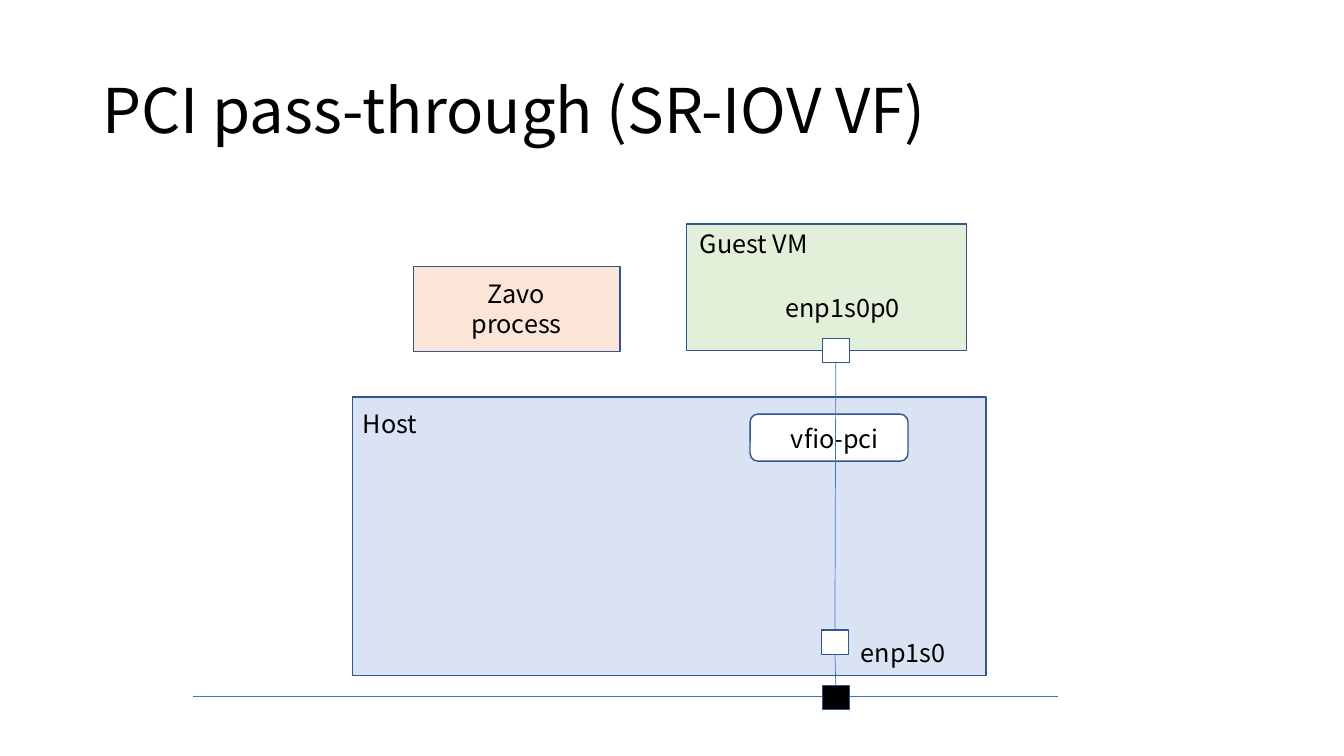
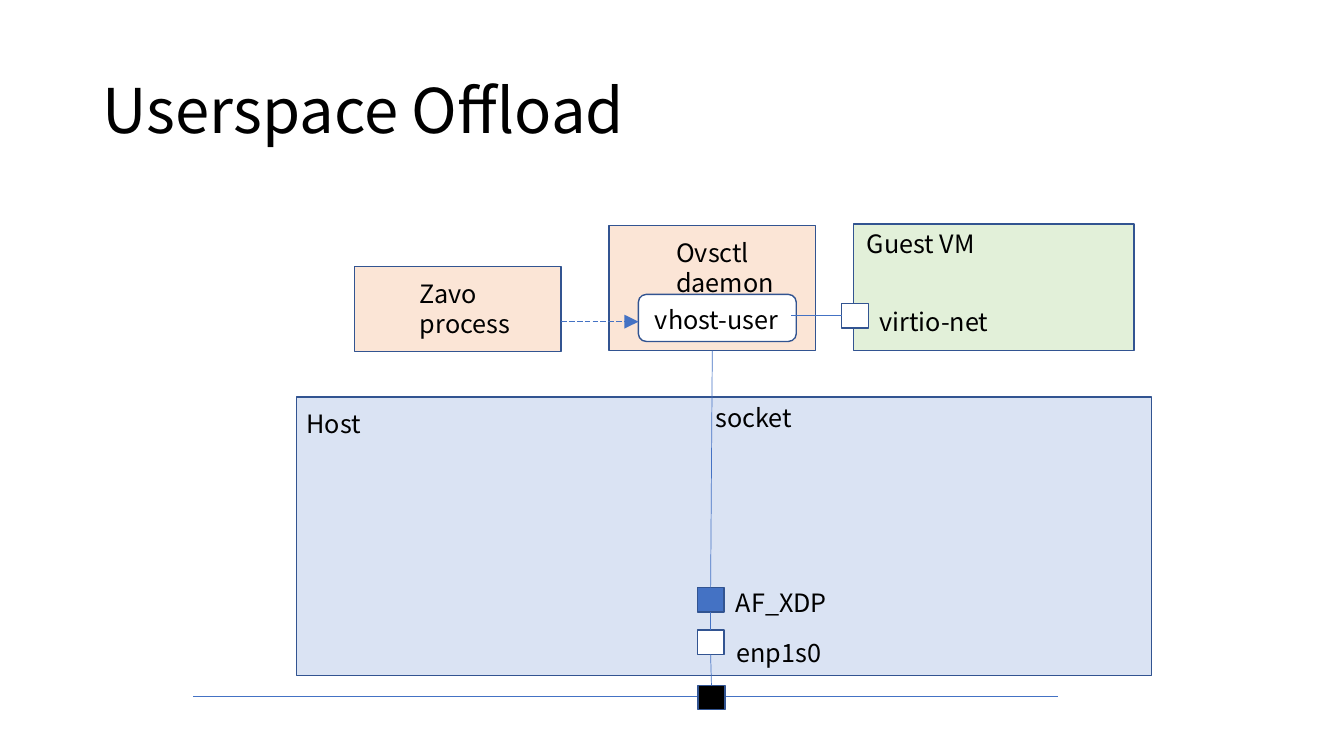
"""Build two slides on how a guest VM reaches the network card."""
import pptx
import pptx.util
import pptx.dml.color
import pptx.enum.dml
import pptx.enum.shapes
import pptx.enum.text
import pptx.oxml
import pptx.oxml.ns

COLORS = {"host": "DAE3F3", "guest": "E2F0D9", "process": "FBE5D6", "white": "FFFFFF",
          "black": "000000", "accent": "4472C4", "border": "325491"}
FONT = "Noto Sans CJK JP"
COLS, ROWS = 160, 90
PORT_W, PORT_H = 3.2, 2.9
SHAPE = pptx.enum.shapes.MSO_SHAPE
ALIGN = pptx.enum.text.PP_ALIGN
RGB = pptx.dml.color.RGBColor.from_string

prs = pptx.Presentation()
prs.slide_width = pptx.util.Inches(13.33)
prs.slide_height = pptx.util.Inches(7.5)
CELL_W, CELL_H = prs.slide_width / COLS, prs.slide_height / ROWS


def box(s, x, y, w, h, fill=None, text="", left=1.2, top=0.6, align=ALIGN.LEFT, kind=SHAPE.RECTANGLE):
    """Add a filled shape, or a plain label when there is no fill."""
    rect = [int(v) for v in (x * CELL_W, y * CELL_H, w * CELL_W, h * CELL_H)]
    if fill:
        sp = s.shapes.add_shape(kind, *rect)
        sp.shadow.inherit = False
        sp.fill.solid()
        sp.fill.fore_color.rgb = RGB(COLORS[fill])
        sp.line.color.rgb = RGB(COLORS["border"])
        sp.line.width = pptx.util.Pt(1)
    else:
        sp = s.shapes.add_textbox(*rect)
    tf = sp.text_frame
    tf.word_wrap = True
    tf.vertical_anchor = pptx.enum.text.MSO_ANCHOR.TOP
    tf.margin_left, tf.margin_top = int(left * CELL_W), int(top * CELL_H)
    tf.margin_right = tf.margin_bottom = 0
    for i, line in enumerate(text.splitlines()):
        p = tf.add_paragraph() if i else tf.paragraphs[0]
        p.alignment = align
        r = p.add_run()
        r.text = line
        r.font.name, r.font.size = FONT, pptx.util.Pt(18)
        r.font.color.rgb = RGB(COLORS["black"])
    return sp


def link(s, x1=0, y1=0, x2=0, y2=0, begin=None, end=None):
    """Draw a thin line between grid points or (shape, side) pairs."""
    cx = s.shapes.add_connector(pptx.enum.shapes.MSO_CONNECTOR.STRAIGHT, int(x1 * CELL_W),
                                int(y1 * CELL_H), int(x2 * CELL_W), int(y2 * CELL_H))
    if begin:
        cx.begin_connect(*begin)
    if end:
        cx.end_connect(*end)
    cx.line.color.rgb = RGB(COLORS["accent"])
    cx.line.width = pptx.util.Pt(0.5)
    cx._element.spPr.append(pptx.oxml.parse_xml("<a:effectLst %s/>" % pptx.oxml.ns.nsdecls("a")))
    return cx


slides = []
for title, host_x, host_w, guest_x, vm_x, vm_text, vm_left, vm_align, port_x in (
        ("PCI pass-through (SR-IOV VF)", 42, 75.4, 81.7, 49.2, "Zavo\nprocess", 0, ALIGN.CENTER, 97.9),
        ("Userspace Offload", 35.3, 101.8, 101.6, 42.2, "Zavo process", 7.8, ALIGN.LEFT, 83.1)):
    s = prs.slides.add_slide(prs.slide_layouts[5])
    sp = s.shapes.title
    sp.left, sp.top = int(11 * CELL_W), int(4.8 * CELL_H)
    sp.width, sp.height = int(138 * CELL_W), int(17.4 * CELL_H)
    tf = sp.text_frame
    tf.auto_size = pptx.enum.text.MSO_AUTO_SIZE.NONE
    tf.vertical_anchor = pptx.enum.text.MSO_ANCHOR.MIDDLE
    p = tf.paragraphs[0]
    p.alignment, p.line_spacing = ALIGN.LEFT, 0.9
    r = p.add_run()
    r.text = title
    r.font.name, r.font.size = FONT, pptx.util.Pt(44)
    r.font.color.rgb = RGB(COLORS["black"])

    link(s, 23, 82.9, 125.9, 82.9)
    box(s, host_x, 47.25, host_w, 33.2, "host", "Host", top=1.3)
    box(s, guest_x, 26.65, 33.4, 15.1, "guest", "Guest VM", left=1.6)
    box(s, vm_x, 31.75, 24.6, 10.1, "process", vm_text, vm_left, 1.35, vm_align)
    nic = box(s, port_x, 81.6, PORT_W, PORT_H, "black")
    port = box(s, port_x - 0.1, 75, PORT_W, PORT_H, "white")
    link(s, begin=(port, 2), end=(nic, 0))
    box(s, port_x + 3.4, 75.3, 13.8, 4.8, text="enp1s0")
    slides.append((s, port, port_x))

s, port, port_x = slides[0]
box(s, 89.3, 49.3, 18.8, 5.6, "white", "vfio-pci", 4.6, 0.8, kind=SHAPE.ROUNDED_RECTANGLE)
guest_port = box(s, port_x, 40.3, PORT_W, PORT_H, "white")
link(s, begin=(guest_port, 2), end=(port, 0))
box(s, 92.3, 34.2, 16.7, 4.8, text="enp1s0p0")

s, port, port_x = slides[1]
daemon = box(s, 72.5, 26.85, 24.6, 14.9, "process", "Ovsctl daemon", 8, 1.4)
box(s, 76, 35.05, 18.8, 5.6, "white", "vhost-user", 1.7, 0.95, kind=SHAPE.ROUNDED_RECTANGLE)
xdp = box(s, port_x - 0.1, 69.95, PORT_W, PORT_H, "accent")
guest_port = box(s, 100.2, 36.15, PORT_W, PORT_H, "white")
link(s, begin=(daemon, 2), end=(xdp, 0))
link(s, begin=(xdp, 2), end=(port, 0))
link(s, x2=94.2, y2=37.6, begin=(guest_port, 1))
arrow = link(s, 66.8, 38.3, 76, 38.3)
arrow.line.dash_style = pptx.enum.dml.MSO_LINE.LONG_DASH
arrow.line._get_or_add_ln().append(pptx.oxml.parse_xml(
    '<a:tailEnd type="triangle" w="lg" len="lg" %s/>' % pptx.oxml.ns.nsdecls("a")))
for text, x, y in (("virtio-net", 103.5, 35.9), ("AF_XDP", port_x + 3.3, 69.3), ("socket", 84, 47.3)):
    box(s, x, y, 16.7, 4.8, text=text)

prs.save("out.pptx")
